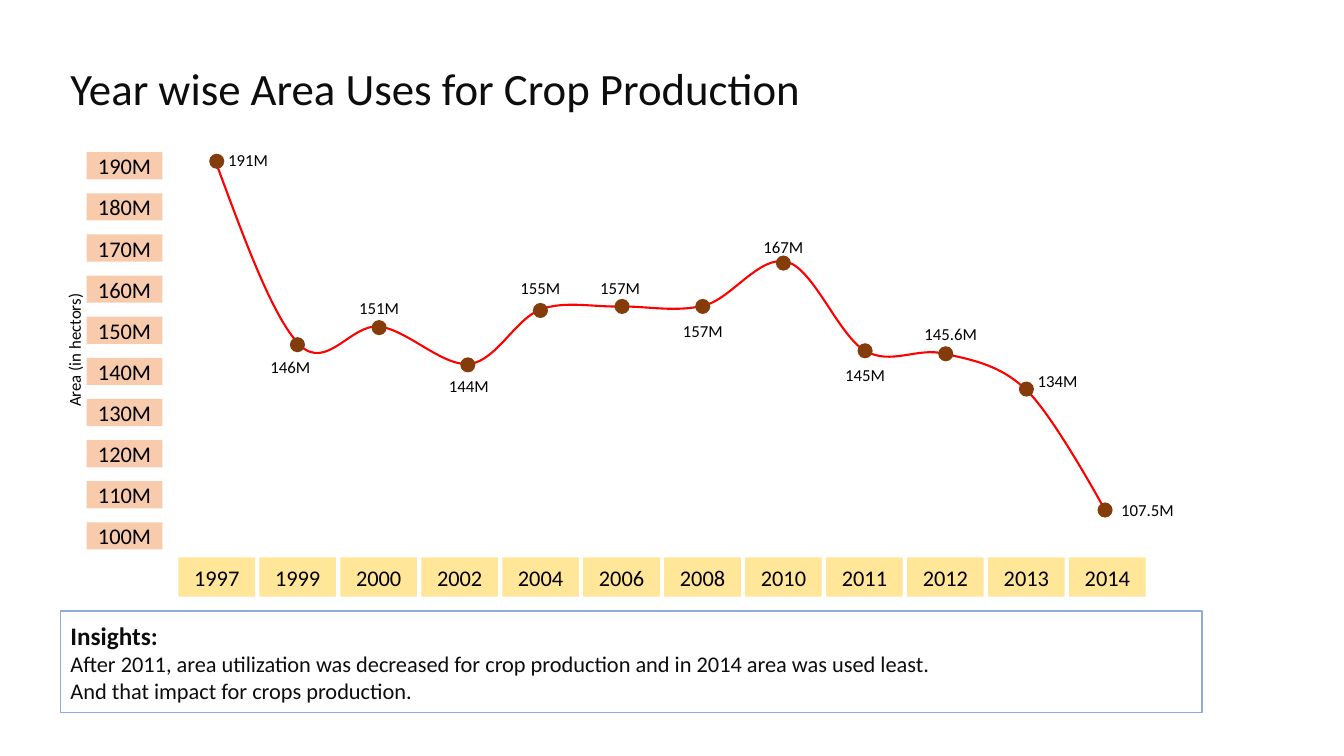
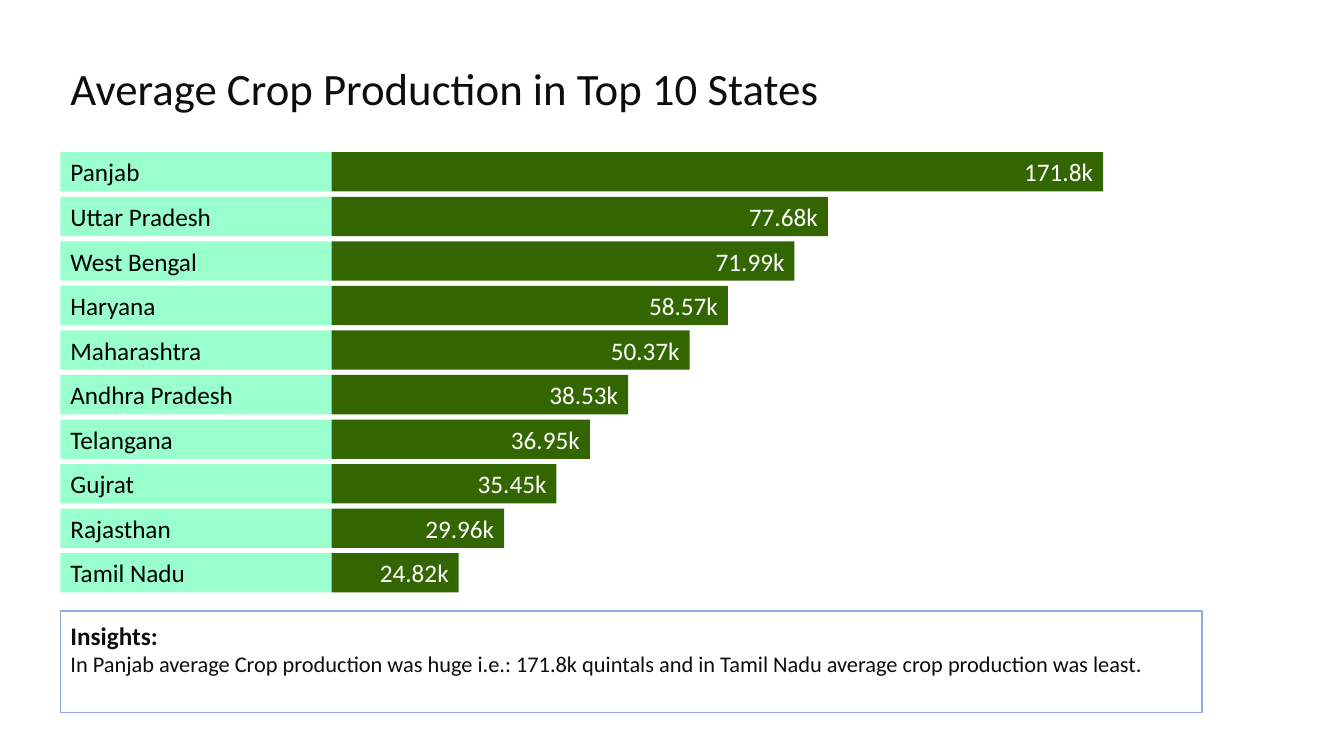
from lxml.etree import SubElement
from pptx import Presentation
from pptx.dml.color import RGBColor
from pptx.enum.shapes import MSO_SHAPE as SHAPE
from pptx.enum.text import MSO_ANCHOR as ANCHOR, PP_ALIGN as ALIGN
from pptx.oxml.ns import qn
from pptx.util import Inches, Pt

FONT = "Calibri"
COLORS = {
    "ink": "0D0D0D", "black": "000000", "white": "FFFFFF",
    "frame": "8FAADC", "year": "FFE699", "scale": "F8CBAD",
    "dot": "843C0B", "curve": "FF0000",
    "state": "99FFCC", "bar": "336600",
}
LEFT, TOP = 0.6, 1.51

# Year, dot centre, label, label centre
POINTS = [
    ("1997", (2.15, 1.6), "191M", (2.46, 1.59)),
    ("1999", (2.95, 3.42), "146M", (2.88, 3.64)),
    ("2000", (3.76, 3.25), "151M", (3.76, 3.05)),
    ("2002", (4.64, 3.62), "144M", (4.65, 3.83)),
    ("2004", (5.36, 3.08), "155M", (5.36, 2.85)),
    ("2006", (6.17, 3.04), "157M", (6.15, 2.85)),
    ("2008", (6.97, 3.04), "157M", (6.97, 3.28)),
    ("2010", (7.77, 2.61), "167M", (7.77, 2.45)),
    ("2011", (8.58, 3.48), "145M", (8.58, 3.72)),
    ("2012", (9.38, 3.51), "145.6M", (9.43, 3.31)),
    ("2013", (10.18, 3.86), "134M", (10.49, 3.78)),
    ("2014", (10.96, 5.06), "107.5M", (11.38, 5.06)),
]

# Bezier segments: two control points and an end point each
CURVE_START = (2.13, 1.58)
CURVE = [
    ((2.42, 2.36), (2.7, 3.14), (2.97, 3.42)),
    ((3.24, 3.69), (3.48, 3.21), (3.76, 3.24)),
    ((4.04, 3.27), (4.39, 3.64), (4.66, 3.61)),
    ((4.92, 3.58), (5.11, 3.17), (5.36, 3.07)),
    ((5.61, 2.98), (5.89, 3.05), (6.16, 3.04)),
    ((6.44, 3.04), (6.71, 3.1), (6.99, 3.03)),
    ((7.26, 2.96), (7.54, 2.52), (7.81, 2.6)),
    ((8.07, 2.67), (8.32, 3.33), (8.58, 3.48)),
    ((8.84, 3.63), (9.1, 3.44), (9.37, 3.51)),
    ((9.64, 3.57), (9.93, 3.62), (10.19, 3.88)),
    ((10.46, 4.14), (10.96, 5.06), (10.96, 5.06)),
]

# State, value, bar length
STATES = [
    ("Panjab", "171.8k", 7.65),
    ("Uttar Pradesh", "77.68k", 4.92),
    ("West Bengal", "71.99k", 4.59),
    ("Haryana", "58.57k", 3.93),
    ("Maharashtra", "50.37k", 3.55),
    ("Andhra Pradesh", "38.53k", 2.94),
    ("Telangana", "36.95k", 2.56),
    ("Gujrat", "35.45k", 2.23),
    ("Rajasthan", "29.96k", 1.71),
    ("Tamil Nadu", "24.82k", 1.26),
]


def rgb(name):
    return RGBColor.from_string(COLORS[name])


def set_text(sp, text, size, color="black", align=ALIGN.LEFT, inset=0.1):
    tf = sp.text_frame
    tf.text = text
    tf.word_wrap = True
    tf.vertical_anchor = ANCHOR.MIDDLE
    tf.margin_left = tf.margin_right = Inches(inset)
    tf.margin_top = tf.margin_bottom = 0
    for p in tf.paragraphs:
        p.alignment = align
        for r in p.runs:
            r.font.name = FONT
            r.font.size = Pt(size)
            r.font.color.rgb = rgb(color)
    return tf


def add_text(s, box, *args, **style):
    sp = s.shapes.add_textbox(*map(Inches, box))
    set_text(sp, *args, **style)
    return sp


def add_box(s, box, fill=None, line=None, shape=SHAPE.RECTANGLE):
    sp = s.shapes.add_shape(shape, *map(Inches, box))
    sp.shadow.inherit = False
    if fill:
        sp.fill.solid()
        sp.fill.fore_color.rgb = rgb(fill)
    else:
        sp.fill.background()
    if line:
        sp.line.color.rgb = rgb(line)
        sp.line.width = Pt(1)
    else:
        sp.line.fill.background()
    return sp


def add_curve(s, start, segments):
    builder = s.shapes.build_freeform(*map(Inches, start))
    ends = [tuple(map(Inches, segment[-1])) for segment in segments]
    builder.add_line_segments(ends, close=False)
    sp = builder.convert_to_shape()
    # Turn each straight segment into a cubic one
    for ln, segment in zip(list(sp.element.iter(qn("a:lnTo"))), segments):
        ln.tag = qn("a:cubicBezTo")
        ln.remove(ln[0])
        for x, y in segment:
            pt = SubElement(ln, qn("a:pt"))
            pt.set("x", str(Inches(x) - sp.left))
            pt.set("y", str(Inches(y) - sp.top))
    sp.shadow.inherit = False
    sp.fill.background()
    sp.line.color.rgb = rgb("curve")
    sp.line.width = Pt(1.5)


# Title and insights frame shared by the slides
def add_slide(prs, title, insights):
    s = prs.slides.add_slide(prs.slide_layouts[6])
    add_text(s, (LEFT, 0.5, 10.34, 0.73), title, 32, "ink")
    sp = add_box(s, (LEFT, 6.06, 11.32, 1.01), line="frame")
    tf = set_text(sp, "\n".join(["Insights:", *insights]), 16, "ink")
    tf.vertical_anchor = ANCHOR.TOP
    tf.margin_top = Inches(0.09)
    heading = tf.paragraphs[0].runs[0].font
    heading.size, heading.bold = Pt(18), True
    return s


def add_area_chart(s):
    add_curve(s, CURVE_START, CURVE)
    # Axes
    for i, (year, *_) in enumerate(POINTS):
        sp = add_box(s, (1.77 + 0.803 * i, 5.53, 0.76, 0.39), "year")
        set_text(sp, year, 16, align=ALIGN.CENTER)
    axis = add_text(s, (-1.23, 3.34, 3.93, 0.27), "Area (in hectors)", 12,
                    align=ALIGN.CENTER)
    axis.rotation = 270
    for i in range(10):
        sp = add_box(s, (0.86, TOP + 0.408 * i, 0.75, 0.27), "scale")
        set_text(sp, f"{190 - 10 * i}M", 16, align=ALIGN.CENTER)
    # Dots and labels
    dot, label_h = 0.15, 0.25
    for _, (x, y), label, (lx, ly) in POINTS:
        add_box(s, (x - dot / 2, y - dot / 2, dot, dot), "dot", shape=SHAPE.OVAL)
        label_w = 0.62 if len(label) == 4 else 0.75
        add_text(s, (lx - label_w / 2, ly - label_h / 2, label_w, label_h),
                 label, 12, align=ALIGN.CENTER, inset=0.05)


def add_state_bars(s):
    name_w, bar_h, pitch = 2.69, 0.39, 0.442
    for i, (state, value, length) in enumerate(STATES):
        y = TOP + pitch * i
        set_text(add_box(s, (LEFT, y, name_w, bar_h), "state"), state, 18)
        set_text(add_box(s, (LEFT + name_w, y, length, bar_h), "bar"),
                 value, 18, "white", ALIGN.RIGHT)


def main():
    prs = Presentation()
    prs.slide_width, prs.slide_height = Inches(13.33), Inches(7.5)

    add_area_chart(add_slide(prs, "Year wise Area Uses for Crop Production", [
        "After 2011, area utilization was decreased for crop production "
        "and in 2014 area was used least.",
        "And that impact for crops production."]))

    add_state_bars(add_slide(prs, "Average Crop Production in Top 10 States", [
        "In Panjab average Crop production was huge i.e.: 171.8k quintals "
        "and in Tamil Nadu average crop production was least."]))

    prs.save("out.pptx")


if __name__ == "__main__":
    main()
